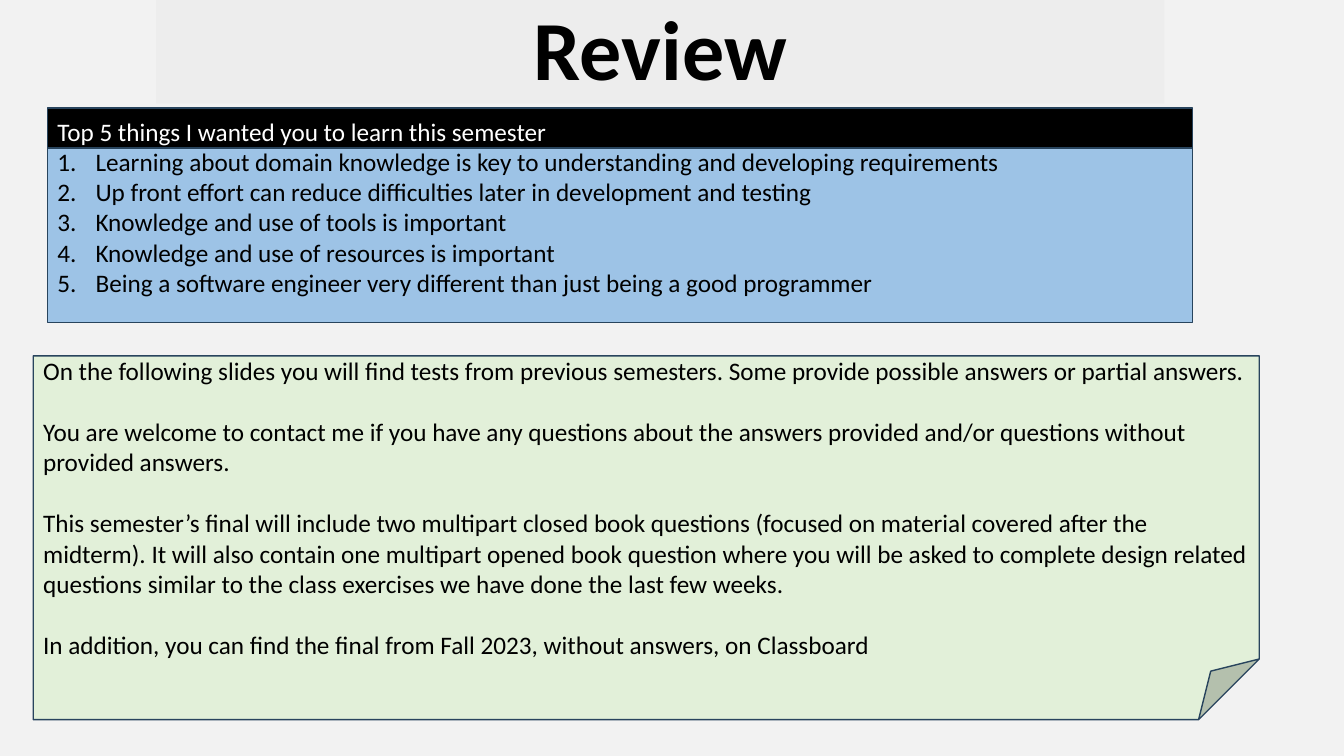
import pptx
import pptx.util
from lxml import etree
from pptx.dml.color import RGBColor
from pptx.enum.shapes import MSO_SHAPE
from pptx.enum.text import MSO_ANCHOR, PP_ALIGN
from pptx.oxml.ns import qn
from pptx.util import Inches, Pt

# Content
TITLE = "Review"
HEADING = "Top 5 things I wanted you to learn this semester"
LESSONS = [
    "Learning about domain knowledge is key to understanding and developing requirements",
    "Up front effort can reduce difficulties later in development and testing",
    "Knowledge and use of tools is important",
    "Knowledge and use of resources is important",
    "Being a software engineer very different than just being a good programmer",
]
EXAM_NOTES = [
    "On the following slides you will find tests from previous semesters. "
    "Some provide possible answers or partial answers.",
    "You are welcome to contact me if you have any questions about the answers "
    "provided and/or questions without provided answers.",
    "This semester’s final will include two multipart closed book questions "
    "(focused on material covered after the midterm). It will also contain one "
    "multipart opened book question where you will be asked to complete design "
    "related questions similar to the class exercises we have done the last few weeks.",
    "In addition, you can find the final from Fall 2023, without answers, on Classboard",
]

# Colours and text formats
BLACK = RGBColor(0x00, 0x00, 0x00)
WHITE = RGBColor(0xFF, 0xFF, 0xFF)
PAGE = RGBColor(0xF2, 0xF2, 0xF2)
BAND = RGBColor(0xEA, 0xEA, 0xEA)
BLUE = RGBColor(0x9D, 0xC3, 0xE6)
GREEN = RGBColor(0xE2, 0xF0, 0xD9)
OUTLINE = RGBColor(0x28, 0x44, 0x5D)
BODY = {"name": "Calibri", "size": Pt(18)}
TITLE_FONT = {"name": "Calibri", "size": Pt(60), "bold": True}

# Layout in inches
PANEL_LEFT, PANEL_WIDTH = 0.47, 11.36
LINE_GAP = Pt(22)  # one line of body text
NUMBER_INDENT = Inches(0.38)


def add_box(s, preset, box, fill, line=OUTLINE):
    sp = s.shapes.add_shape(preset, *map(Inches, box))
    sp.shadow.inherit = False
    sp.fill.solid()
    sp.fill.fore_color.rgb = fill
    if line is None:
        sp.line.fill.background()
    else:
        sp.line.color.rgb = line
        sp.line.width = Pt(1)
    return sp


def add_text(p, text, font, color=BLACK, align=PP_ALIGN.LEFT):
    p.alignment = align
    r = p.add_run()
    r.text = text
    for name, value in font.items():
        setattr(r.font, name, value)
    r.font.color.rgb = color


def add_number(p):
    pPr = p._p.get_or_add_pPr()
    pPr.set("marL", str(NUMBER_INDENT))
    pPr.set("indent", str(-NUMBER_INDENT))
    etree.SubElement(pPr, qn("a:buFont"), typeface="+mj-lt")
    etree.SubElement(pPr, qn("a:buAutoNum"), type="arabicPeriod")


prs = pptx.Presentation()
prs.slide_width, prs.slide_height = Inches(13.33), Inches(7.5)
s = prs.slides.add_slide(prs.slide_layouts[6])
s.background.fill.solid()
s.background.fill.fore_color.rgb = PAGE

# Lesson panel and its heading bar
for top, height, fill in [(1.43, 1.77, BLUE), (1.07, 0.4, BLACK)]:
    add_box(s, MSO_SHAPE.RECTANGLE, (PANEL_LEFT, top, PANEL_WIDTH, height), fill)

# Title on a half-transparent band
band = add_box(s, MSO_SHAPE.RECTANGLE, (1.55, 0, 10, 1.03), BAND, None)
band_color = band._element.spPr.find(qn("a:solidFill"))[0]
etree.SubElement(band_color, qn("a:alpha"), val="50000")
tf = band.text_frame
tf.word_wrap = True
tf.vertical_anchor = MSO_ANCHOR.BOTTOM
tf.paragraphs[0].line_spacing = 0.9
add_text(tf.paragraphs[0], TITLE, TITLE_FONT, align=PP_ALIGN.CENTER)

# Heading and numbered lessons
tf = s.shapes.add_textbox(*map(Inches, (PANEL_LEFT, 1.1, PANEL_WIDTH, 1.92))).text_frame
tf.word_wrap = True
add_text(tf.paragraphs[0], HEADING, BODY, WHITE)
for lesson in LESSONS:
    p = tf.add_paragraph()
    add_number(p)
    add_text(p, lesson, BODY)

# Exam notes on a folded sheet
sheet = add_box(s, MSO_SHAPE.FOLDED_CORNER, (0.33, 3.53, 12.16, 3.61), GREEN)
tf = sheet.text_frame
tf.word_wrap = True
tf.vertical_anchor = MSO_ANCHOR.MIDDLE
for i, note in enumerate(EXAM_NOTES):
    p = tf.add_paragraph() if i else tf.paragraphs[0]
    if i:
        p.space_before = LINE_GAP
    add_text(p, note, BODY)

prs.save("out.pptx")
